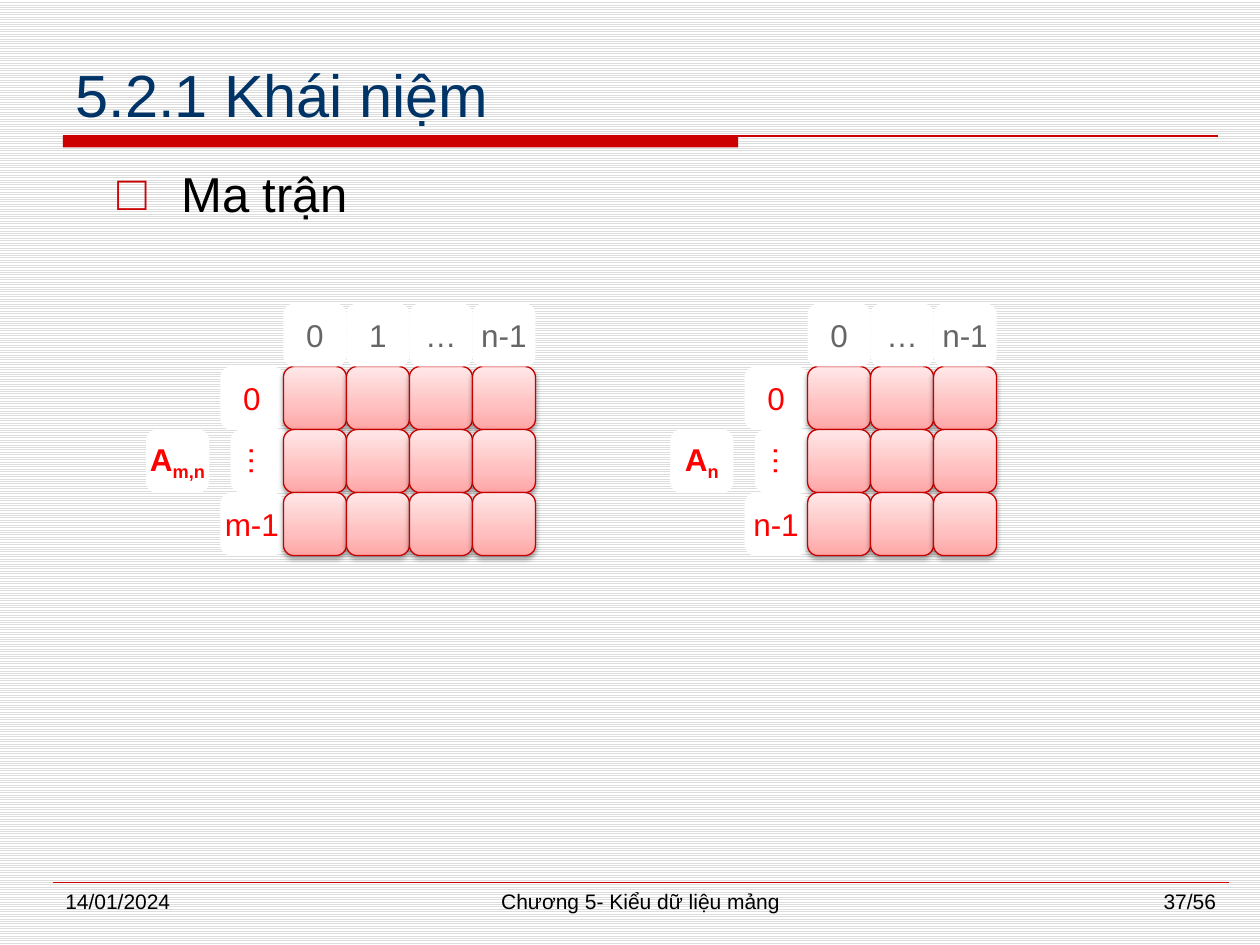
import copy

import pptx
import pptx.dml.color
import pptx.enum.dml
import pptx.enum.shapes
import pptx.enum.text
import pptx.oxml
import pptx.oxml.ns
import pptx.util

Inches, Pt = pptx.util.Inches, pptx.util.Pt
ALIGN = pptx.enum.text.PP_ALIGN
ANCHOR = pptx.enum.text.MSO_ANCHOR
SHAPE = pptx.enum.shapes.MSO_SHAPE
NS = pptx.oxml.ns.nsdecls("a")

TITLE = "5.2.1 Khái niệm"
BULLET = "Ma trận"
FOOTERS = [  # left, width, text, alignment
    (0.42, 2.17, "14/01/2024", ALIGN.LEFT),
    (2.92, 4.33, "Chương 5- Kiểu dữ liệu mảng", ALIGN.CENTER),
    (7.58, 2.17, "37/56", ALIGN.RIGHT),
]
MATRICES = [
    {"left": 2.25, "sub": "m,n", "rows": ["0", "…", "m-1"], "cols": ["0", "1", "…", "n-1"]},
    {"left": 6.41, "sub": "n", "rows": ["0", "…", "n-1"], "cols": ["0", "…", "n-1"]},
]
GRID_TOP, CELL = 2.91, 0.5
DOTS_SHIFT, NAME_SHIFT = 0.42, 1.09  # distance left of the grid
COLORS = {
    "title": "003366", "accent": "CC0000", "text": "000000", "stripe": "DDDDDD",
    "paper": "FFFFFF", "row": "FF0000", "col": "666666", "edge": "C80000",
}
GRADIENT = [(0, "FFA5A5"), (0.35, "FFBFBF"), (1, "FFE7E7")]


def rgb(name):
    return pptx.dml.color.RGBColor.from_string(COLORS.get(name, name))


def box(left, top, width, height):
    return [Inches(v) for v in (left, top, width, height)]


def place(sp, *lengths):
    for name, value in zip(("left", "top", "width", "height"), box(*lengths)):
        setattr(sp, name, value)


def add_run(p, text, size, color, bold=False):
    r = p.add_run()
    r.text = text
    fmt = {"name": "Arial", "size": Pt(size), "bold": bold}
    for name, value in fmt.items():
        setattr(r.font, name, value)
    r.font.color.rgb = rgb(color)
    return r


def add_rule(s, x1, x2, y, width):
    line = s.shapes.add_connector(
        pptx.enum.shapes.MSO_CONNECTOR.STRAIGHT, *box(x1, y, x2, y))
    line.line.color.rgb = rgb("accent")
    line.line.width = Pt(width)
    line._element.spPr.append(pptx.oxml.parse_xml(f"<a:effectLst {NS}/>"))


def add_tile(s, left, top):
    sp = s.shapes.add_shape(SHAPE.ROUNDED_RECTANGLE, *box(left, top, CELL, CELL))
    sp.shadow.inherit = False
    return sp


def add_label(s, left, top, text, color, bold=False):
    sp = add_tile(s, left, top)
    sp.fill.solid()
    sp.fill.fore_color.rgb = rgb("paper")
    sp.line.fill.background()
    tf = sp.text_frame
    tf.word_wrap = False
    tf.vertical_anchor = ANCHOR.MIDDLE
    tf.paragraphs[0].alignment = ALIGN.CENTER
    add_run(tf.paragraphs[0], text, 18, color, bold)
    return sp


def add_cell(s, left, top):
    """Add a matrix cell with a three-stop gradient and a soft shadow."""
    sp = add_tile(s, left, top)
    sp.fill.gradient()
    sp.fill.gradient_angle = 90
    spPr = sp._element.spPr
    stops = spPr.find(".//" + pptx.oxml.ns.qn("a:gsLst"))
    stops.append(copy.deepcopy(stops[0]))
    for stop, (position, color) in zip(sp.fill.gradient_stops, GRADIENT):
        stop.position = position
        stop.color.rgb = rgb(color)
    sp.line.color.rgb = rgb("edge")
    sp.line.width = Pt(0.75)
    spPr.find(pptx.oxml.ns.qn("a:effectLst")).append(pptx.oxml.parse_xml(
        f'<a:outerShdw {NS} blurRad="{Pt(3.1)}" dist="{Pt(1.6)}" dir="5400000" '
        'rotWithShape="0"><a:srgbClr val="000000"><a:alpha val="38000"/>'
        "</a:srgbClr></a:outerShdw>"))


def add_matrix(s, left, sub, rows, cols):
    tops = [GRID_TOP + i * CELL for i in range(len(rows))]
    lefts = [left + j * CELL for j in range(len(cols))]
    for top, text in zip(tops, rows):
        dots = text == "…"
        sp = add_label(s, left - (DOTS_SHIFT if dots else CELL), top, text, "row")
        sp.rotation = 90 if dots else 0
    for top in tops:
        for x in lefts:
            add_cell(s, x, top)
    for x, text in zip(lefts, cols):
        add_label(s, x, GRID_TOP - CELL, text, "col")
    name = add_label(s, left - NAME_SHIFT, tops[1], "A", "row", bold=True)
    r = add_run(name.text_frame.paragraphs[0], sub, 18, "row", bold=True)
    r.font._element.set("baseline", "-25000")


def main():
    prs = pptx.Presentation()
    prs.slide_width, prs.slide_height = Inches(10), Inches(7.5)
    s = prs.slides.add_slide(prs.slide_layouts[1])
    fill = s.background.fill
    fill.patterned()
    fill.pattern = pptx.enum.dml.MSO_PATTERN.LIGHT_HORIZONTAL
    fill.fore_color.rgb = rgb("stripe")
    fill.back_color.rgb = rgb("paper")

    title, body = s.placeholders
    place(title, 0.5, 0.33, 9.17, 0.75)
    title.text_frame.vertical_anchor = ANCHOR.BOTTOM
    p = title.text_frame.paragraphs[0]
    p.alignment = ALIGN.LEFT
    add_run(p, TITLE, 34, "title")

    place(body, 0.83, 1.25, 8.67, 5.67)
    p = body.text_frame.paragraphs[0]
    p.alignment = ALIGN.JUSTIFY
    p.space_before = Pt(0)
    pPr = p._p.get_or_add_pPr()
    pPr.set("marL", str(Inches(0.51)))
    pPr.set("indent", str(-Inches(0.51)))
    for xml in (f'<a:buClr {NS}><a:srgbClr val="{COLORS["accent"]}"/></a:buClr>',
                f'<a:buFont {NS} typeface="Arial"/>',
                f'<a:buChar {NS} char="□"/>'):
        pPr.append(pptx.oxml.parse_xml(xml))
    add_run(p, BULLET, 28, "text")

    bar = s.shapes.add_shape(SHAPE.RECTANGLE, *box(0.5, 1.08, 5.36, 0.09))
    bar.shadow.inherit = False
    bar.fill.solid()
    bar.fill.fore_color.rgb = rgb("accent")
    bar.line.fill.background()
    add_rule(s, 0.5, 9.67, 1.08, 1.5)
    add_rule(s, 0.42, 9.75, 7, 0.25)

    for matrix in MATRICES:
        add_matrix(s, **matrix)

    for left, width, text, align in FOOTERS:
        tf = s.shapes.add_textbox(*box(left, 7, width, 0.35)).text_frame
        tf.word_wrap = True
        tf.paragraphs[0].alignment = align
        add_run(tf.paragraphs[0], text, 12, "text")

    prs.save("out.pptx")


if __name__ == "__main__":
    main()
